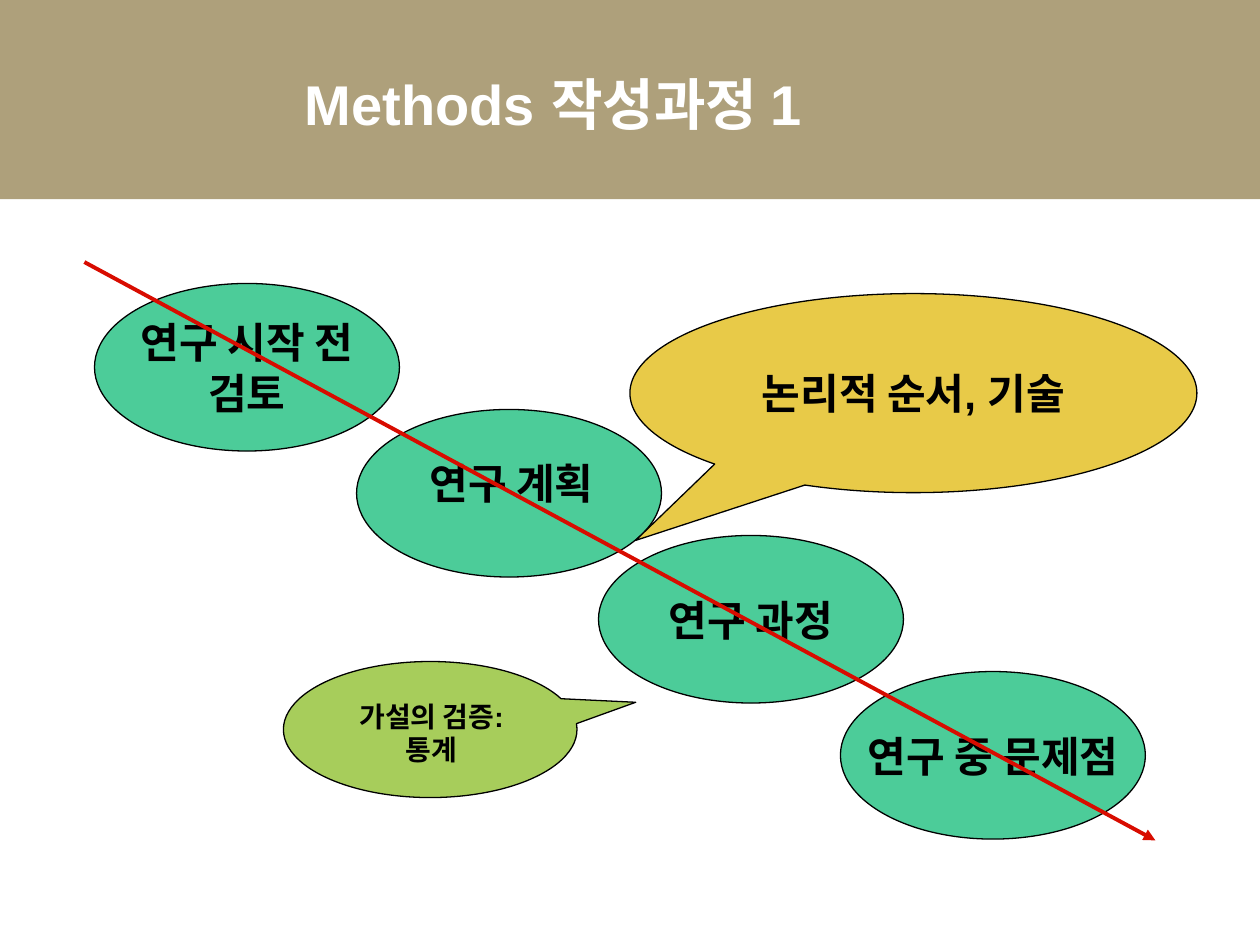
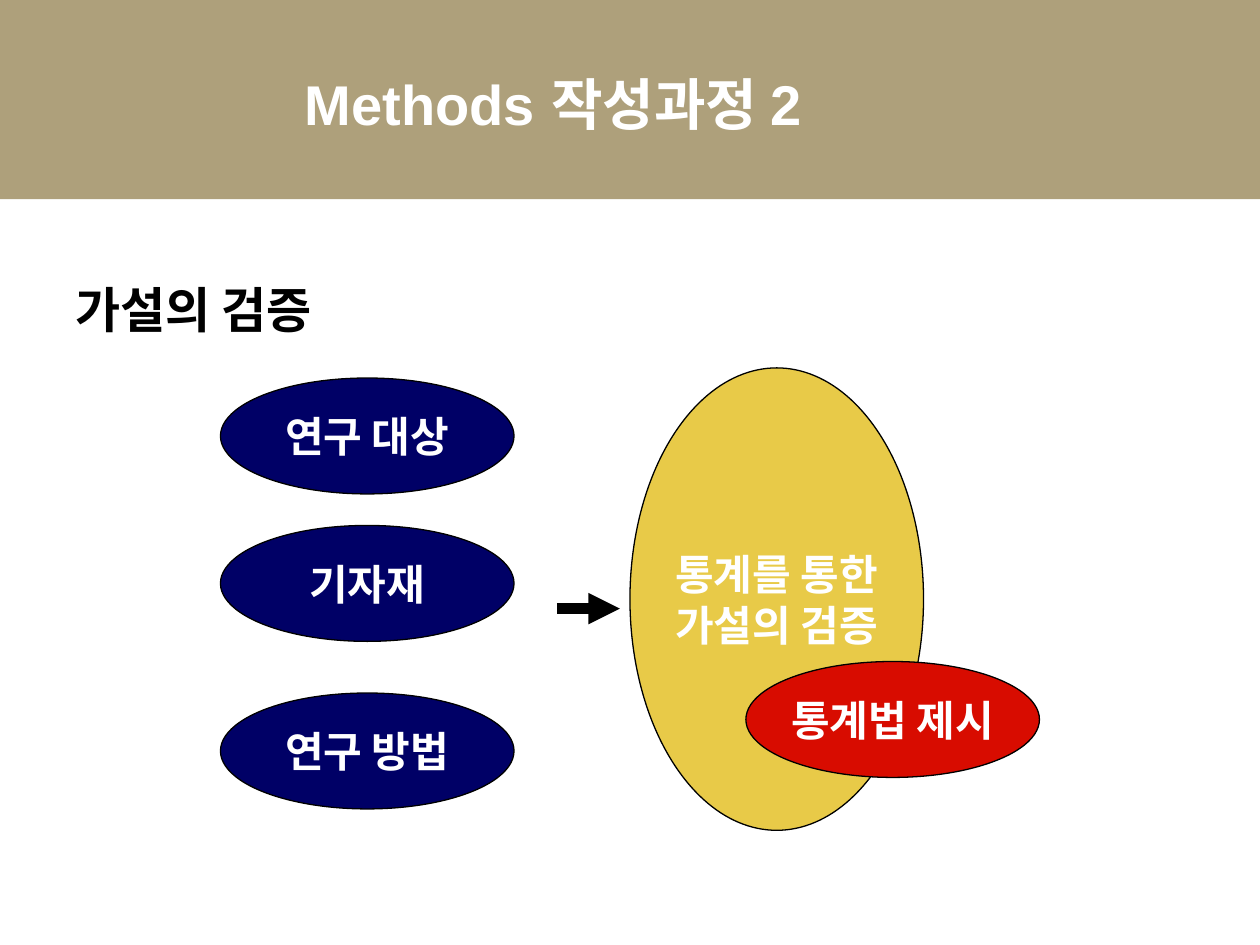
from lxml import etree
from pptx import Presentation
from pptx.dml.color import RGBColor
from pptx.enum.shapes import MSO_CONNECTOR, MSO_SHAPE
from pptx.enum.text import MSO_ANCHOR, PP_ALIGN
from pptx.oxml.ns import qn
from pptx.util import Inches, Pt

RECTANGLE, OVAL = MSO_SHAPE.RECTANGLE, MSO_SHAPE.OVAL
CALLOUT = MSO_SHAPE.OVAL_CALLOUT
STRAIGHT = MSO_CONNECTOR.STRAIGHT
TOP, MIDDLE = MSO_ANCHOR.TOP, MSO_ANCHOR.MIDDLE
LEFT, CENTER = PP_ALIGN.LEFT, PP_ALIGN.CENTER

FONT = "Arial"
COLORS = {
    "band": "AEA07B",
    "white": "FFFFFF",
    "black": "000000",
    "green": "4CCC99",
    "lime": "A7CD5B",
    "gold": "E8CA48",
    "navy": "000066",
    "red": "D80C00",
}


def color(name):
    """Return the named colour."""
    return RGBColor.from_string(COLORS[name])


def write_text(shape, text, size=24, ink="black", align=CENTER, anchor=MIDDLE,
               wrap=False, side_inset=0.1):
    """Fill a shape with bold text, one paragraph per line."""
    frame = shape.text_frame
    frame.word_wrap = wrap
    frame.vertical_anchor = anchor
    frame.margin_left = frame.margin_right = Inches(side_inset)
    frame.text = text
    for para in frame.paragraphs:
        para.alignment = align
        for span in para.runs:
            span.font.name = FONT
            span.font.size = Pt(size)
            span.font.bold = True
            span.font.color.rgb = color(ink)


def add_text(page, area, text, **text_format):
    """Add a text box."""
    box = page.shapes.add_textbox(*map(Inches, area))
    write_text(box, text, **text_format)


def add_figure(page, kind, area, fill, text="", outline=True, pointer=(),
               **text_format):
    """Add a filled preset shape with an optional label and callout pointer."""
    shape = page.shapes.add_shape(kind, *map(Inches, area))
    shape.shadow.inherit = False
    shape.fill.solid()
    shape.fill.fore_color.rgb = color(fill)
    if outline:
        shape.line.color.rgb = color("black")
        shape.line.width = Pt(0.75)
    else:
        shape.line.fill.background()
    for index, offset in enumerate(pointer):
        shape.adjustments[index] = offset
    if text:
        write_text(shape, text, **text_format)


def add_arrow(page, start, end, ink, width):
    """Add a straight arrow with a triangular head at its end."""
    arrow = page.shapes.add_connector(STRAIGHT, *map(Inches, start + end))
    arrow.line.color.rgb = color(ink)
    arrow.line.width = Pt(width)
    etree.SubElement(arrow.line._get_or_add_ln(), qn("a:tailEnd"), type="triangle")
    etree.SubElement(arrow._element.spPr, qn("a:effectLst"))


def add_page(deck, title):
    """Add a blank slide with the title band."""
    page = deck.slides.add_slide(deck.slide_layouts[6])
    add_figure(page, RECTANGLE, (0, 0, 10, 1.58), "band", outline=False)
    add_text(page, (2.42, 0.5, 6.75, 0.83), title, size=32, ink="white",
             align=LEFT, anchor=TOP, wrap=True, side_inset=0)
    return page


def build_research_steps(deck):
    """Build the slide with the descending research steps."""
    page = add_page(deck, "Methods 작성과정 1")
    steps = [
        (0.75, 2.25, "연구 시작 전\n검토"),
        (2.83, 3.25, ""),
        (4.75, 4.25, "연구 과정"),
        (6.67, 5.33, "연구 중 문제점"),
    ]
    for left, top, label in steps:
        add_figure(page, OVAL, (left, top, 2.42, 1.33), "green", label)
    add_text(page, (3.3, 3.58, 1.52, 0.5), "연구 계획", anchor=TOP)
    add_arrow(page, (0.67, 2.08), (9.17, 6.67), "red", 2.25)
    add_figure(page, CALLOUT, (5, 2.33, 4.5, 1.58), "gold", "논리적 순서, 기술",
               pointer=(-0.49, 0.74))
    add_figure(page, CALLOUT, (2.25, 5.25, 2.33, 1.08), "lime",
               pointer=(0.7, -0.2))
    add_text(page, (2.69, 5.5, 1.47, 0.64), "가설의 검증:\n통계", size=16,
             anchor=TOP)


def build_hypothesis_test(deck):
    """Build the slide on testing the hypothesis with statistics."""
    page = add_page(deck, "Methods 작성과정 2")
    add_text(page, (0.5, 2.17, 9.08, 0.7), "가설의 검증", size=28, align=LEFT,
             anchor=TOP, wrap=True)
    inputs = [(3, "연구 대상"), (4.17, "기자재"), (5.5, "연구 방법")]
    for top, label in inputs:
        add_figure(page, OVAL, (1.75, top, 2.33, 0.92), "navy", label, ink="white")
    add_figure(page, OVAL, (5, 2.92, 2.33, 3.67), "gold",
               "통계를 통한\n가설의 검증", ink="white")
    add_arrow(page, (4.42, 4.83), (4.92, 4.83), "black", 6)
    add_figure(page, OVAL, (5.92, 5.25, 2.33, 0.92), "red", "통계법 제시",
               ink="white")


def main():
    """Build and save the deck."""
    deck = Presentation()
    deck.slide_width, deck.slide_height = Inches(10), Inches(7.5)
    build_research_steps(deck)
    build_hypothesis_test(deck)
    deck.save("out.pptx")


if __name__ == "__main__":
    main()
